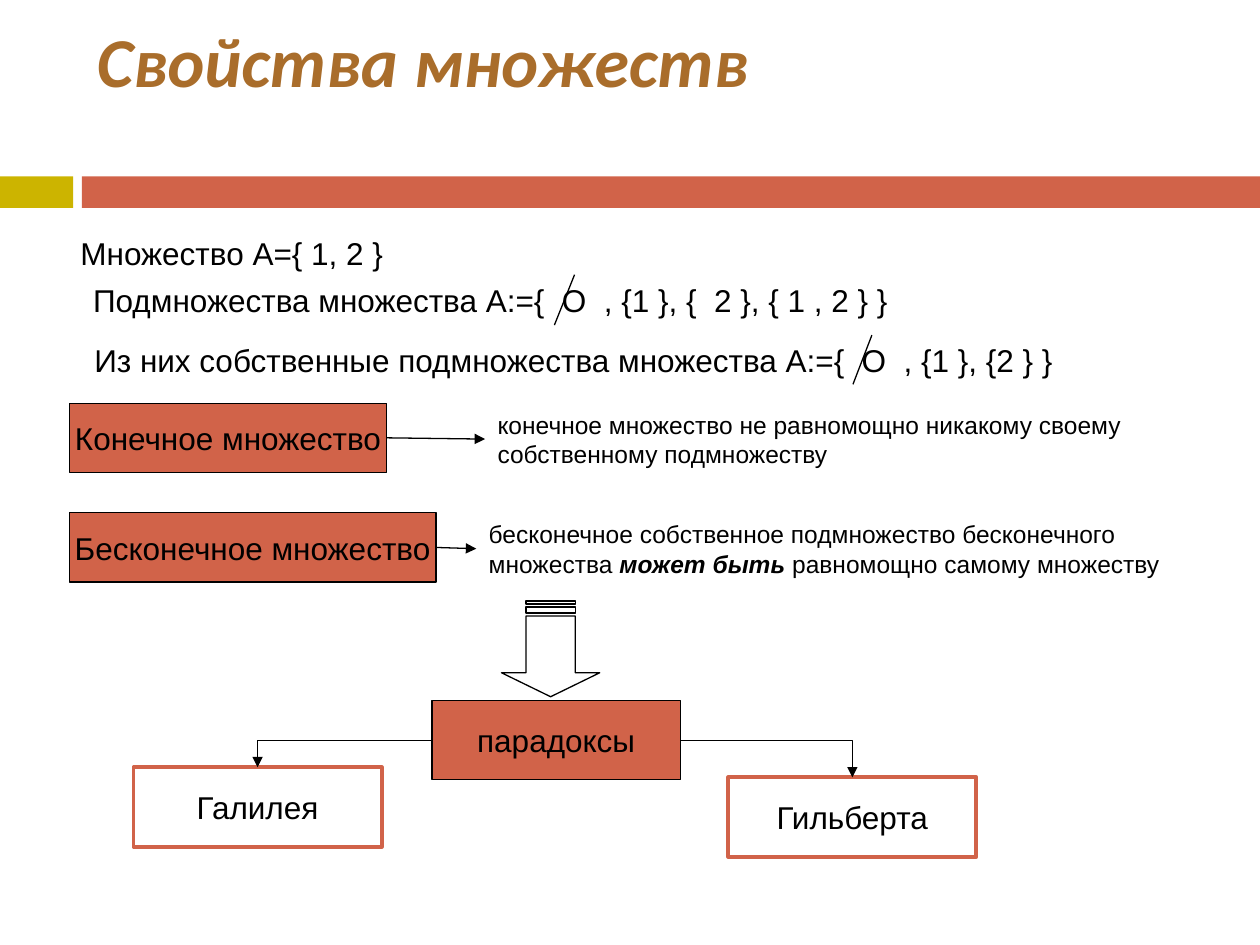
"""Build the slide on properties of sets on a grid of 100 columns by 75 rows."""
from lxml import etree
from pptx import Presentation, util as u
from pptx.dml.color import RGBColor
from pptx.enum import shapes as sh, text as tx
from pptx.oxml.ns import qn

HUE = {"ink": "000000", "red": "D16349", "gold": "CCB400", "title": "A96D2B"}
CELL = u.Inches(0.1)

deck = Presentation()
deck.slide_width, deck.slide_height = 100 * CELL, 75 * CELL
page = deck.slides.add_slide(deck.slide_layouts[6])


def block(area, fill=None, line=None, width=0.75, kind=sh.MSO_SHAPE.RECTANGLE):
    item = page.shapes.add_shape(kind, *[round(n * CELL) for n in area])
    item.shadow.inherit = False
    if fill:
        item.fill.solid()
        item.fill.fore_color.rgb = RGBColor.from_string(HUE[fill])
    else:
        item.fill.background()
    if line:
        item.line.color.rgb = RGBColor.from_string(HUE[line])
        item.line.width = u.Pt(width)
    else:
        item.line.fill.background()
    return item


def wire(ends, kind=sh.MSO_CONNECTOR.STRAIGHT, arrow=True):
    item = page.shapes.add_connector(kind, *[round(n * CELL) for n in ends])
    item.line.color.rgb = RGBColor.from_string(HUE["ink"])
    item.line.width = u.Pt(0.75)
    if arrow:
        etree.SubElement(item.line._get_or_add_ln(), qn("a:tailEnd"), type="triangle")
    etree.SubElement(item._element.spPr, qn("a:effectLst"))
    return item


block((0, 14, 5.8, 2.5), "gold")
block((6.5, 14, 93.5, 2.5), "red")

head = page.shapes.add_textbox(*[round(n * CELL) for n in (6.7, 2.5, 89.2, 10.8)])
frame = head.text_frame
frame.word_wrap = True
frame.margin_top = 0
frame.text = "Свойства множеств"
frame.paragraphs[0].line_spacing = u.Pt(40)
font = frame.paragraphs[0].runs[0].font
font.name, font.size, font.bold, font.italic = "Calibri", u.Pt(40), True, True
font.color.rgb = RGBColor.from_string(HUE["title"])

boxes = {}
for name, area, fill, line, width in (
    ("Конечное множество", (5.5, 32, 25.2, 5.5), "red", "ink", 0.75),
    ("Бесконечное множество", (5.5, 40.7, 29.1, 5.5), "red", "ink", 0.75),
    ("парадоксы", (34.3, 55.6, 19.7, 6.3), "red", "ink", 0.75),
    ("Галилея", (10.6, 60.9, 19.7, 6.3), None, "red", 2.25),
    ("Гильберта", (57.8, 61.7, 19.7, 6.3), None, "red", 2.25),
):
    box = boxes[name] = block(area, fill, line, width)
    frame = box.text_frame
    frame.word_wrap = False
    frame.vertical_anchor = tx.MSO_ANCHOR.MIDDLE
    frame.text = name
    frame.paragraphs[0].alignment = tx.PP_ALIGN.CENTER
    font = frame.paragraphs[0].runs[0].font
    font.name, font.size = "Arial", u.Pt(18)
    font.color.rgb = RGBColor.from_string(HUE["ink"])

notes = []
for area, size, wrap, parts in (
    ((5.4, 18.1, 26.1, 4), 18, False, ["Множество А={ 1, 2 }"]),
    ((6.4, 21.8, 65.2, 4), 18, False,
     ["Подмножества множества А:={  О  , {1 }, {  2 }, { 1 , 2 } }"]),
    ((6.5, 26.6, 78.3, 4), 18, False,
     ["Из них собственные подмножества множества А:={  О  , {1 }, {2 } }"]),
    ((38.5, 32, 53.5, 5.7), 14, True,
     ["конечное множество не равномощно никакому своему собственному подмножеству"]),
    ((37.8, 40.7, 59.1, 5.7), 14, True,
     ["бесконечное собственное подмножество бесконечного множества ",
      "может быть", " равномощно самому множеству"]),
):
    note = page.shapes.add_textbox(*[round(n * CELL) for n in area])
    notes.append(note)
    frame = note.text_frame
    frame.word_wrap = wrap
    frame.auto_size = tx.MSO_AUTO_SIZE.SHAPE_TO_FIT_TEXT
    frame.vertical_anchor = tx.MSO_ANCHOR.MIDDLE if wrap else tx.MSO_ANCHOR.TOP
    for k, part in enumerate(parts):
        run = frame.paragraphs[0].add_run()
        run.text = part
        run.font.name, run.font.size = "Arial", u.Pt(size)
        run.font.bold = run.font.italic = k == 1
        run.font.color.rgb = RGBColor.from_string(HUE["ink"])

for name, note in zip(("Конечное множество", "Бесконечное множество"), notes[3:]):
    link = wire((0, 0, 1, 1))
    link.begin_connect(boxes[name], 3)
    link.end_connect(note, 1)

for name, side in (("Галилея", 1), ("Гильберта", 3)):
    link = wire((0, 0, 1, 1), sh.MSO_CONNECTOR.ELBOW)
    link._element.spPr.find(qn("a:prstGeom")).set("prst", "bentConnector2")
    link.begin_connect(boxes["парадоксы"], side)
    link.end_connect(boxes[name], 0)

down = block((39.9, 47.6, 7.6, 7.8), None, "ink", kind=sh.MSO_SHAPE.STRIPED_RIGHT_ARROW)
down.rotation = 90
down.adjustments[0], down.adjustments[1] = 0.5, 0.25

for ends in ((45.6, 21.8, 44, 25.8), (69.2, 26.6, 67.7, 30.5)):
    wire(ends, arrow=False)

deck.save("out.pptx")
